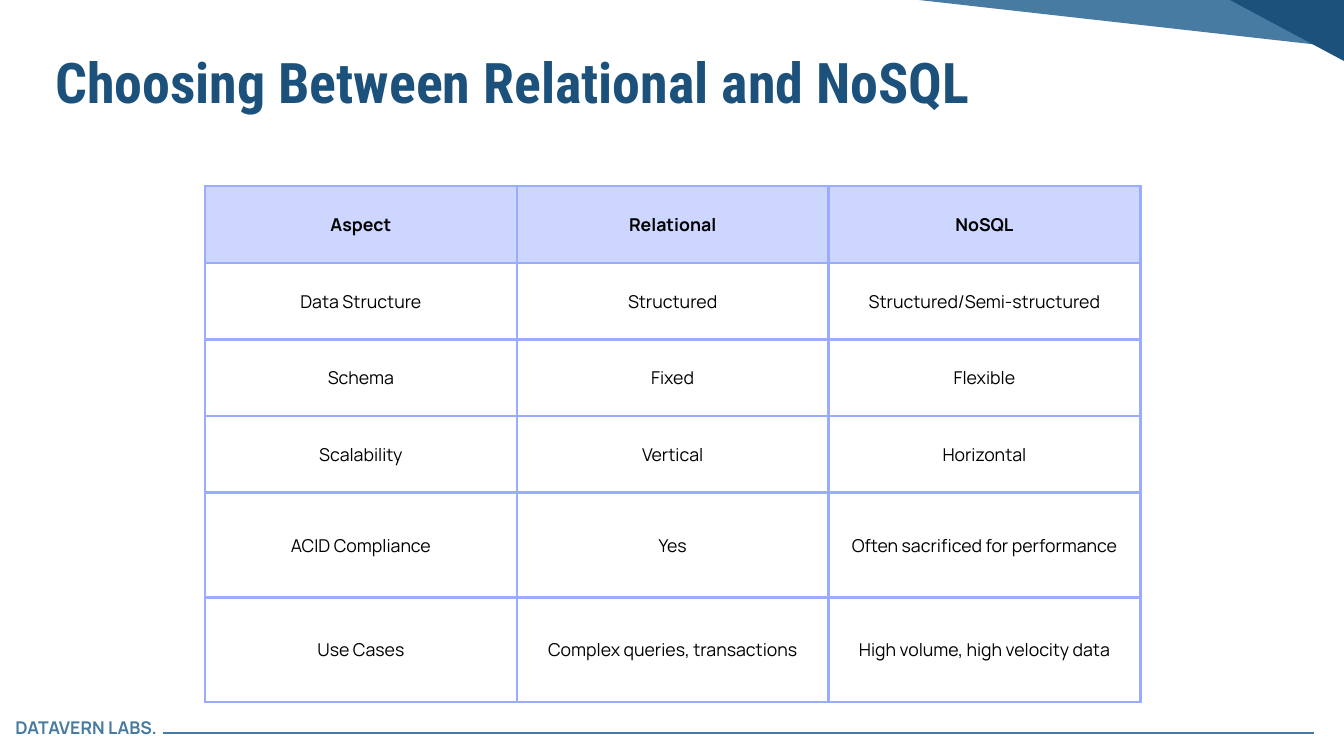
from lxml.etree import SubElement
from pptx import Presentation
from pptx.dml.color import RGBColor
from pptx.enum.shapes import MSO_CONNECTOR as Connector
from pptx.enum.text import MSO_ANCHOR as Anchor, PP_ALIGN as Align
from pptx.oxml.ns import qn
from pptx.util import Pt

PX = 9144  # 100 px to the inch
NAVY = RGBColor(0x1B, 0x51, 0x7B)
STEEL = RGBColor(0x48, 0x7B, 0xA2)
LAVENDER = RGBColor(0xCD, 0xD6, 0xFF)
PERIWINKLE = RGBColor(0x99, 0xAC, 0xFF)
BLACK = RGBColor(0, 0, 0)

presentation = Presentation()
presentation.slide_width = 2000 * PX
presentation.slide_height = 1125 * PX
slide = presentation.slides.add_slide(presentation.slide_layouts[6])


def write(paragraph, text, font_name, size, color, bold, spacing):
    paragraph.line_spacing = Pt(spacing)
    run = paragraph.add_run()
    run.text = text
    run.font.name = font_name
    run.font.size = Pt(size)
    run.font.bold = bold
    run.font.color.rgb = color


def add_text(left, top, width, height, *style):
    frame = slide.shapes.add_textbox(left * PX, top * PX, width * PX, height * PX).text_frame
    frame.margin_left = frame.margin_top = frame.margin_right = frame.margin_bottom = 0
    frame.word_wrap = True
    write(frame.paragraphs[0], *style)


# Corner bands
bands = [
    (STEEL, [(2014, 13), (2008, 72), (1349, -2), (1356, -61)]),
    (NAVY, [(1821, -5), (1863, -83), (2048, 16), (2006, 94)]),
]
for color, points in bands:
    builder = slide.shapes.build_freeform(*points[0], scale=PX)
    builder.add_line_segments(points[1:], close=True)
    band = builder.convert_to_shape()
    band.shadow.inherit = False
    band.fill.solid()
    band.fill.fore_color.rgb = color
    band.line.fill.background()

# Footer
add_text(23, 1067, 220, 33, "DATAVERN LABS.", "Manrope", 18.8, STEEL, True, 22.6)
rule = slide.shapes.add_connector(Connector.STRAIGHT, 243 * PX, 1091 * PX, 1956 * PX, 1091 * PX)
rule.line.color.rgb = STEEL
rule.line.width = Pt(1.5)
SubElement(rule._element.spPr, qn("a:effectLst"))

# Comparison table
rows = [
    ("Aspect", "Relational", "NoSQL"),
    ("Data Structure", "Structured", "Structured/Semi-structured"),
    ("Schema", "Fixed", "Flexible"),
    ("Scalability", "Vertical", "Horizontal"),
    ("ACID Compliance", "Yes", "Often sacrificed for performance"),
    ("Use Cases", "Complex queries, transactions", "High volume, high velocity data"),
]
row_heights = [114] * 4 + [156] * 2
table = slide.shapes.add_table(
    len(rows), 3, 305 * PX, 277 * PX, 3 * 464 * PX, sum(row_heights) * PX
).table
table.first_row = table.horz_banding = False
for column in table.columns:
    column.width = 464 * PX

for row_index, (texts, height) in enumerate(zip(rows, row_heights)):
    table.rows[row_index].height = height * PX
    header = row_index == 0
    for column_index, text in enumerate(texts):
        cell = table.cell(row_index, column_index)
        cell.margin_left = cell.margin_top = cell.margin_right = cell.margin_bottom = 21 * PX
        cell.vertical_anchor = Anchor.MIDDLE
        paragraph = cell.text_frame.paragraphs[0]
        paragraph.alignment = Align.CENTER
        write(paragraph, text, "Manrope", 19, BLACK, header, 26.6)

        # Borders go before the fill in the cell properties
        properties = cell._tc.get_or_add_tcPr()
        for side in ("a:lnL", "a:lnR", "a:lnT", "a:lnB"):
            border = SubElement(properties, qn(side), w=str(Pt(3)))
            fill = SubElement(border, qn("a:solidFill"))
            SubElement(fill, qn("a:srgbClr"), val=str(PERIWINKLE))
        if header:
            cell.fill.solid()
            cell.fill.fore_color.rgb = LAVENDER
        else:
            cell.fill.background()

# Title
add_text(82, 71, 1826, 102, "Choosing Between Relational and NoSQL",
         "Roboto Condensed", 60, NAVY, True, 72)

presentation.save("out.pptx")
